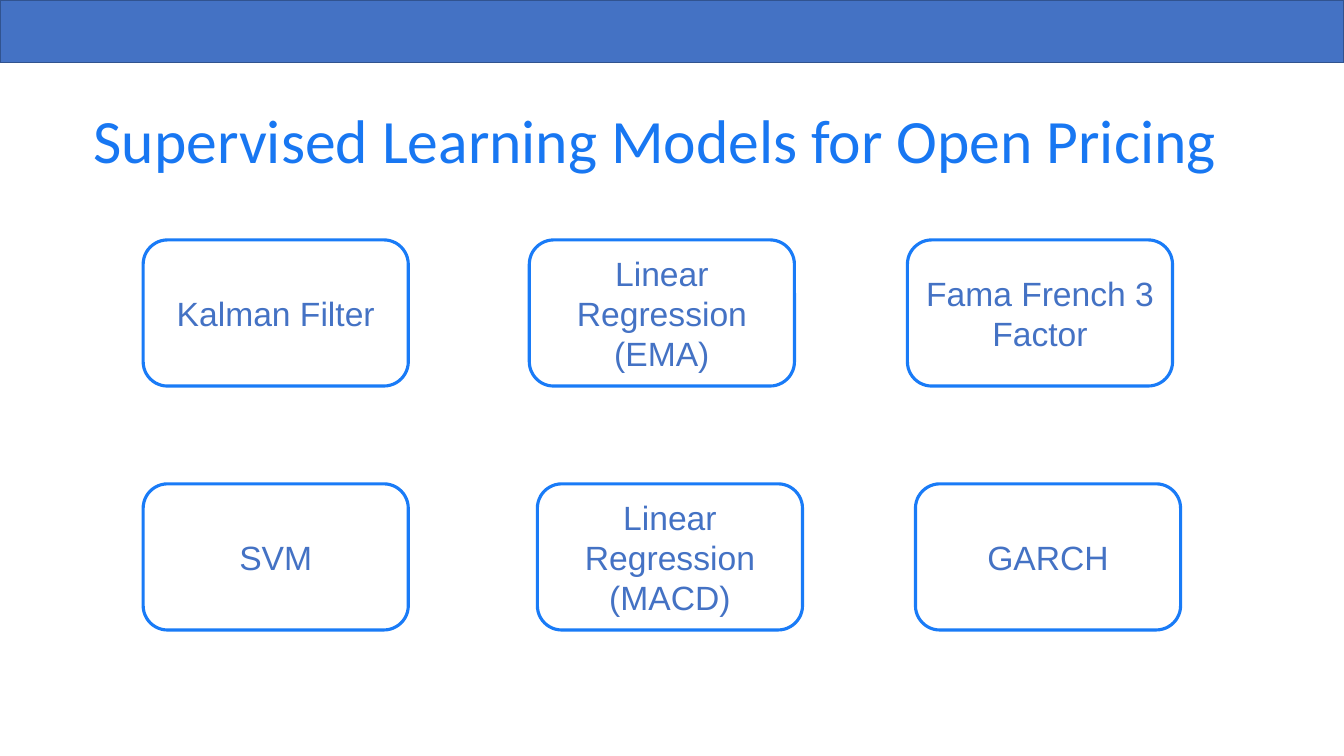
from pptx import Presentation
from pptx.dml.color import RGBColor
from pptx.enum.shapes import MSO_SHAPE
from pptx.enum.text import MSO_ANCHOR, PP_ALIGN
from pptx.util import Inches, Pt

RECT, ROUND = MSO_SHAPE.RECTANGLE, MSO_SHAPE.ROUNDED_RECTANGLE
MIDDLE, CENTER = MSO_ANCHOR.MIDDLE, PP_ALIGN.CENTER
COLORS = {"title": "1877F2", "edge": "197BF7", "blue": "4472C4",
          "navy": "31538F", "white": "FFFFFF"}

prs = Presentation()
prs.slide_width, prs.slide_height = Inches(13.33), Inches(7.5)
slide = prs.slides.add_slide(prs.slide_layouts[6])


def add_box(kind, left, top, width, height, fill, line, weight):
    box = slide.shapes.add_shape(
        kind, Inches(left), Inches(top), Inches(width), Inches(height))
    box.shadow.inherit = False
    box.fill.solid()
    box.fill.fore_color.rgb = RGBColor.from_string(COLORS[fill])
    box.line.color.rgb = RGBColor.from_string(COLORS[line])
    box.line.width = Pt(weight)
    return box


def add_text(shape, text, font, size, color):
    frame = shape.text_frame
    frame.word_wrap = True
    frame.vertical_anchor = MIDDLE
    para = frame.paragraphs[0]
    run = para.add_run()
    run.text = text
    run.font.name = font
    run.font.size = Pt(size)
    run.font.color.rgb = RGBColor.from_string(COLORS[color])
    return para


# Top band
add_box(RECT, 0, 0, 13.33, 0.62, "blue", "navy", 1)

# Title
title = slide.shapes.add_textbox(
    Inches(0.83), Inches(0.7), Inches(11.5), Inches(1.45))
para = add_text(title, "Supervised Learning Models for Open Pricing",
                "Calibri", 44, "title")
para.line_spacing = 0.9

# Model cards: top of each row, then left edge and name of each card
rows = [
    (2.38, [(1.42, "Kalman Filter"), (5.25, "Linear Regression (EMA)"),
            (9, "Fama French 3 Factor")]),
    (4.8, [(1.42, "SVM"), (5.33, "Linear Regression (MACD)"),
           (9.08, "GARCH")]),
]
for top, cards in rows:
    for left, name in cards:
        card = add_box(ROUND, left, top, 2.63, 1.45, "white", "edge", 2.25)
        card.adjustments[0] = 0.167
        frame = card.text_frame
        frame.margin_left = frame.margin_right = Inches(0.1)
        frame.margin_top = frame.margin_bottom = Inches(0.1)
        para = add_text(card, name, "Arial", 24, "blue")
        para.alignment = CENTER

prs.save("out.pptx")
